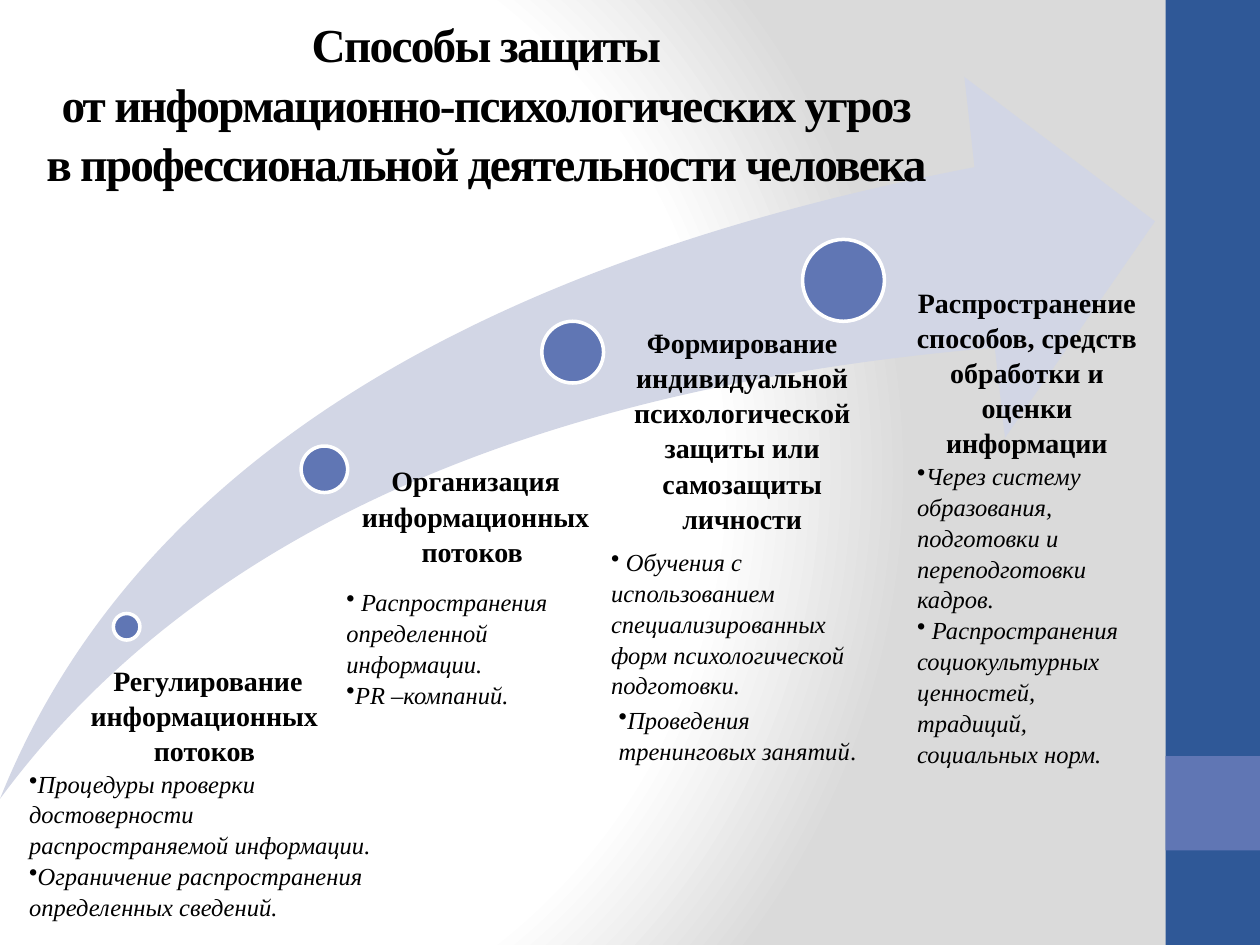
"""Build a slide on protection from information and psychological threats."""
from lxml import etree
from pptx import Presentation
from pptx.dml.color import RGBColor
from pptx.enum.shapes import MSO_SHAPE
from pptx.enum.text import MSO_ANCHOR, PP_ALIGN
from pptx.oxml import parse_xml
from pptx.oxml.ns import qn
from pptx.util import Pt

RECTANGLE, ELLIPSE, SWOOSH = MSO_SHAPE.RECTANGLE, MSO_SHAPE.OVAL, MSO_SHAPE.SWOOSH_ARROW
CENTER, LEFT, TOP = PP_ALIGN.CENTER, PP_ALIGN.LEFT, MSO_ANCHOR.TOP
FONT = "Times New Roman"
COLORS = {
    "text": "000000",
    "white": "FFFFFF",
    "shade": "DADADA",
    "band": "2F5897",
    "accent": "6076B4",
    "arrow": "D2D6E5",
}


def add_figure(page, kind, left, top, width, height, color, outline=None):
    figure = page.shapes.add_shape(kind, Pt(left), Pt(top), Pt(width), Pt(height))
    figure.shadow.inherit = False
    figure.fill.solid()
    figure.fill.fore_color.rgb = RGBColor.from_string(COLORS[color])
    if outline:
        figure.line.color.rgb = RGBColor.from_string(COLORS[outline])
        figure.line.width = Pt(2)
    else:
        figure.line.fill.background()
    return figure


def write(box, text, *, size=14, bold=False, italic=False, align=LEFT, after=0,
          bullet=False, indent=0, tracking=0, same_line=False):
    frame = box.text_frame
    if same_line or not frame.text:
        para = frame.paragraphs[-1]
    else:
        para = frame.add_paragraph()
    if not same_line:
        para.alignment = align
        para.line_spacing = 1.05
        para.space_before, para.space_after = Pt(0), Pt(after)
        if bullet:
            para.level = 1
            properties = para._p.get_or_add_pPr()
            properties.set("marL", str(Pt(indent)))
            properties.set("indent", "0")
            etree.SubElement(properties, qn("a:buChar")).set("char", "•")
    span = para.add_run()
    span.text = text
    span.font.name, span.font.size = FONT, Pt(size)
    span.font.bold, span.font.italic = bold, italic
    span.font.color.rgb = RGBColor.from_string(COLORS["text"])
    if tracking:
        span.font._element.set("spc", str(tracking * 100))


deck = Presentation()
deck.slide_width, deck.slide_height = Pt(720), Pt(540)
page = deck.slides.add_slide(deck.slide_layouts[6])

page.background.fill.solid()
background = page.element.xpath(".//p:bgPr")[0]
stops = "".join(
    f'<a:gs pos="{position * 1000}"><a:srgbClr val="{COLORS[color]}"/></a:gs>'
    for position, color in ((0, "white"), (75, "white"), (100, "shade"))
)
background.replace(background[0], parse_xml(
    '<a:gradFill xmlns:a="http://schemas.openxmlformats.org/drawingml/2006/main" '
    f'rotWithShape="1"><a:gsLst>{stops}</a:gsLst><a:path path="circle">'
    '<a:fillToRect l="20000" t="50000" r="100000" b="50000"/></a:path></a:gradFill>'
))

add_figure(page, RECTANGLE, 666, 0, 54, 540, "band")
add_figure(page, RECTANGLE, 666, 432, 54, 54, "accent")
arrow = add_figure(page, SWOOSH, 0, 44, 660, 412.5, "arrow")
arrow.adjustments[0] = arrow.adjustments[1] = 0.25

steps = [
    {
        "circle": (64.8, 350.6, 15.2), "box": (8.6, 378, 212.4, 141.8), "inset": 8,
        "heading": ["Регулирование информационных ", "потоков "], "after": 0,
        "bullets": [
            ("Процедуры проверки достоверности распространяемой информации.", 0),
            ("Ограничение распространения определенных сведений.", 0),
        ],
    },
    {
        "circle": (172.1, 254.9, 26.6), "box": (184.3, 264.2, 161.3, 188.6), "inset": 13.7,
        "heading": ["Организация информационных потоков "], "after": 10,
        "bullets": [(" Распространения определенной информации.", 0), ("PR –компаний.", 0)],
    },
    {
        "circle": (309.6, 183.6, 35.3), "box": (326.2, 185, 177.1, 254.9), "inset": 18.7,
        "heading": ["Формирование индивидуальной психологической защиты или самозащиты личности"],
        "after": 6, "bullet_after": 2,
        "bullets": [
            (" Обучения с использованием специализированных форм психологической подготовки.", 4.3),
            ("Проведения тренинговых занятий", 8.6),
        ],
        "ending": ".",
    },
    {
        "circle": (458.6, 136.8, 46.8), "box": (490.3, 162, 167.8, 295.9), "inset": 25.2,
        "heading": ["Распространение способов, средств обработки и оценки информации"],
        "after": 0,
        "bullets": [
            ("Через систему образования, подготовки и переподготовки кадров.", 8.6),
            (" Распространения социокультурных ценностей, традиций, социальных норм.", 8.6),
        ],
    },
]

for step in steps:
    left, top, diameter = step["circle"]
    add_figure(page, ELLIPSE, left, top, diameter, diameter, "accent", "white")
    box = page.shapes.add_textbox(*map(Pt, step["box"]))
    frame = box.text_frame
    frame.word_wrap, frame.vertical_anchor = True, TOP
    frame.margin_left = Pt(step["inset"])
    frame.margin_top = frame.margin_right = frame.margin_bottom = 0
    for line in step["heading"]:
        write(box, line, size=16, bold=True, align=CENTER, after=step["after"])
    for text, indent in step["bullets"]:
        write(box, text, italic=True, bullet=True, indent=indent,
              after=step.get("bullet_after", 0))
    if "ending" in step:
        write(box, step["ending"], same_line=True)

title = page.shapes.add_textbox(Pt(-2.9), Pt(3.6), Pt(561.6), Pt(116.6))
title.text_frame.word_wrap = True
for line in (
    "Способы защиты",
    " от информационно-психологических угроз ",
    "в профессиональной деятельности человека",
):
    write(title, line, size=27, bold=True, align=CENTER, tracking=-1)

deck.save("out.pptx")
